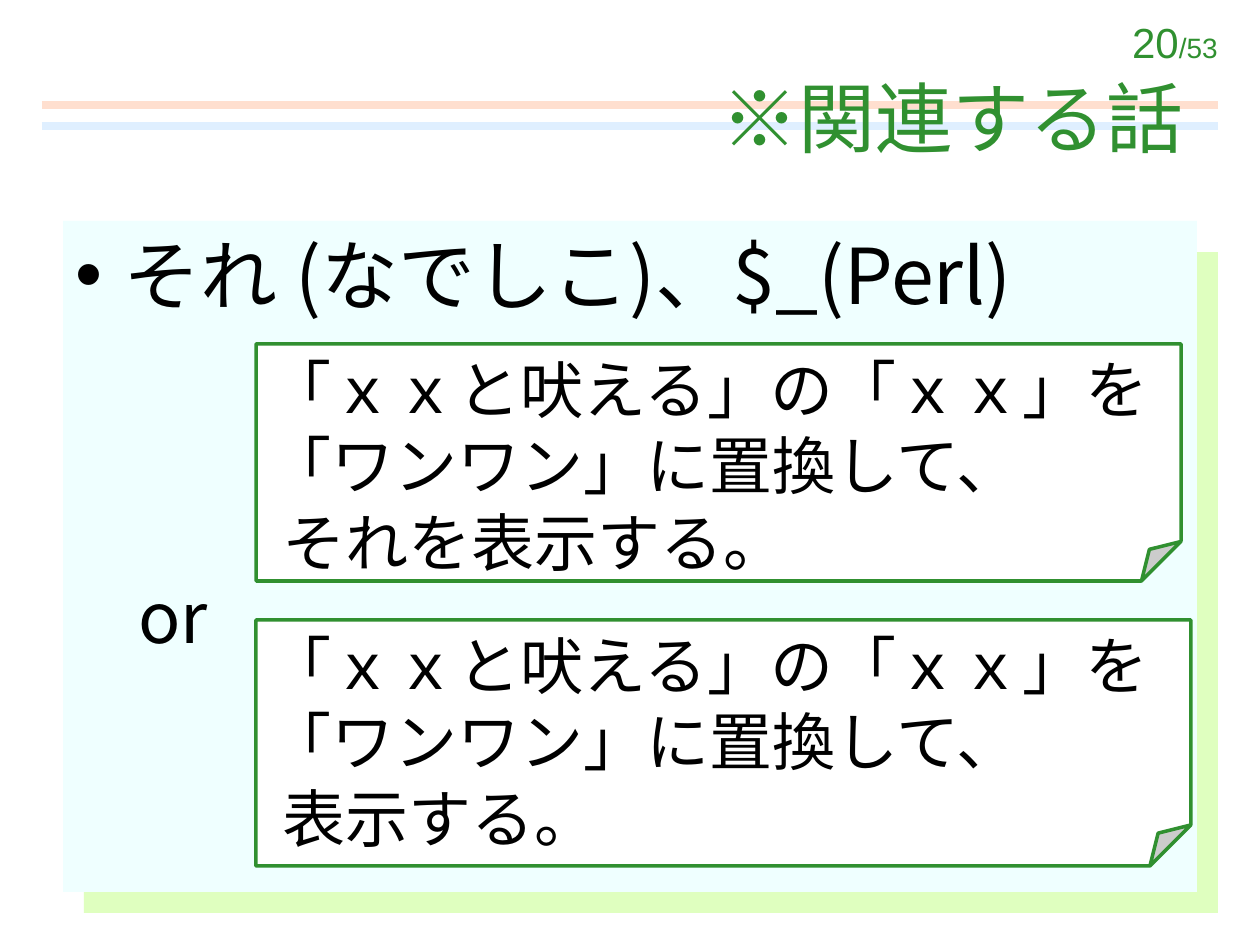
from lxml.etree import SubElement
from pptx import Presentation
from pptx.dml.color import RGBColor
from pptx.enum.shapes import MSO_CONNECTOR, MSO_SHAPE
from pptx.enum.text import MSO_ANCHOR, MSO_AUTO_SIZE, PP_ALIGN
from pptx.oxml.ns import qn
from pptx.util import Pt

EMU_PER_PX = 914400 / 126
GOTHIC = "Noto Sans CJK JP"
GREEN = "309030"
BLACK = "000000"


def px(n):
    return round(n * EMU_PER_PX)


def color(hex_value):
    return RGBColor.from_string(hex_value)


def paint(sp, fill):
    sp.fill.solid()
    sp.fill.fore_color.rgb = color(fill)


def write(p, text, size, fill=BLACK, font=GOTHIC, align=PP_ALIGN.LEFT,
          leading=None, before=0):
    p.alignment = align
    p.space_before = Pt(before)
    if leading:
        p.line_spacing = Pt(leading)
    for i, line in enumerate(text.split("\n")):
        if i:
            p.add_line_break()
        r = p.add_run()
        r.text = line
        r.font.size = Pt(size)
        r.font.name = font
        r.font.color.rgb = color(fill)
        SubElement(r.font._element, qn("a:ea"), typeface=font)


def bullet(p, char, left, indent):
    pPr = p._p.get_or_add_pPr()
    pPr.set("marL", str(px(left)))
    pPr.set("indent", str(px(indent)))
    if char:
        SubElement(pPr, qn("a:buFont"), typeface="Arial")
        SubElement(pPr, qn("a:buChar"), char=char)
    else:
        SubElement(pPr, qn("a:buNone"))


def add_rule(s, y, line):
    c = s.shapes.add_connector(MSO_CONNECTOR.STRAIGHT, px(42), px(y), px(1218), px(y))
    c.line.color.rgb = color(line)
    c.line.width = Pt(5)
    SubElement(c._element.spPr, qn("a:effectLst"))


def add_panel_shade(s):
    sp = s.shapes.add_shape(MSO_SHAPE.RECTANGLE, px(84), px(252), px(1134), px(661))
    sp.shadow.inherit = False
    paint(sp, "DFFFBF")
    sp.line.fill.background()


def add_page_number(s):
    tf = s.shapes.add_textbox(px(974), px(10), px(256), px(63)).text_frame
    tf.word_wrap = True
    p = tf.paragraphs[0]
    for text, size in (("20", 24), ("/53", 16)):
        write(p, text, size, fill=GREEN, font="Arial", align=PP_ALIGN.RIGHT)


def place(sp, left, top, width, height):
    sp.left, sp.top, sp.width, sp.height = map(px, (left, top, width, height))
    tree = sp.element.getparent()
    tree.append(sp.element)
    tf = sp.text_frame
    tf.word_wrap = True
    tf.auto_size = MSO_AUTO_SIZE.NONE
    return tf


def fill_title(s):
    tf = place(s.shapes.title, 63, 38, 1134, 157)
    tf.vertical_anchor = MSO_ANCHOR.MIDDLE
    write(tf.paragraphs[0], "※関連する話", 44, fill=GREEN, align=PP_ALIGN.RIGHT)


def fill_body(s):
    body = s.placeholders[1]
    tf = place(body, 63, 221, 1134, 671)
    tf.vertical_anchor = MSO_ANCHOR.TOP
    paint(body, "EFFFFF")
    p = tf.paragraphs[0]
    bullet(p, "•", 48, -48)
    write(p, "それ (なでしこ)、$_(Perl)", 44, leading=53)
    p = tf.add_paragraph()
    p.level = 1
    bullet(p, None, 102, -39)
    write(p, "or", 40, leading=48, before=145)


def add_note(s, top, width, height, ending):
    sp = s.shapes.add_shape(MSO_SHAPE.FOLDED_CORNER, px(256), px(top), px(width), px(height))
    sp.shadow.inherit = False
    paint(sp, "FFFFFF")
    sp.line.color.rgb = color(GREEN)
    sp.line.width = Pt(2)
    tf = sp.text_frame
    tf.word_wrap = True
    tf.vertical_anchor = MSO_ANCHOR.TOP
    write(tf.paragraphs[0], "「ｘｘと吠える」の「ｘｘ」を「ワンワン」に置換して、\n " + ending,
          36, leading=43.5)


def main():
    prs = Presentation()
    prs.slide_width, prs.slide_height = px(1260), px(945)
    s = prs.slides.add_slide(prs.slide_layouts[1])
    add_panel_shade(s)
    add_rule(s, 126, "DFEFFF")
    add_rule(s, 105, "FFDFCF")
    add_page_number(s)
    fill_title(s)
    fill_body(s)
    add_note(s, 344, 925, 237, "それを表示する。")
    add_note(s, 620, 935, 246, "表示する。")
    prs.save("out.pptx")


if __name__ == "__main__":
    main()
